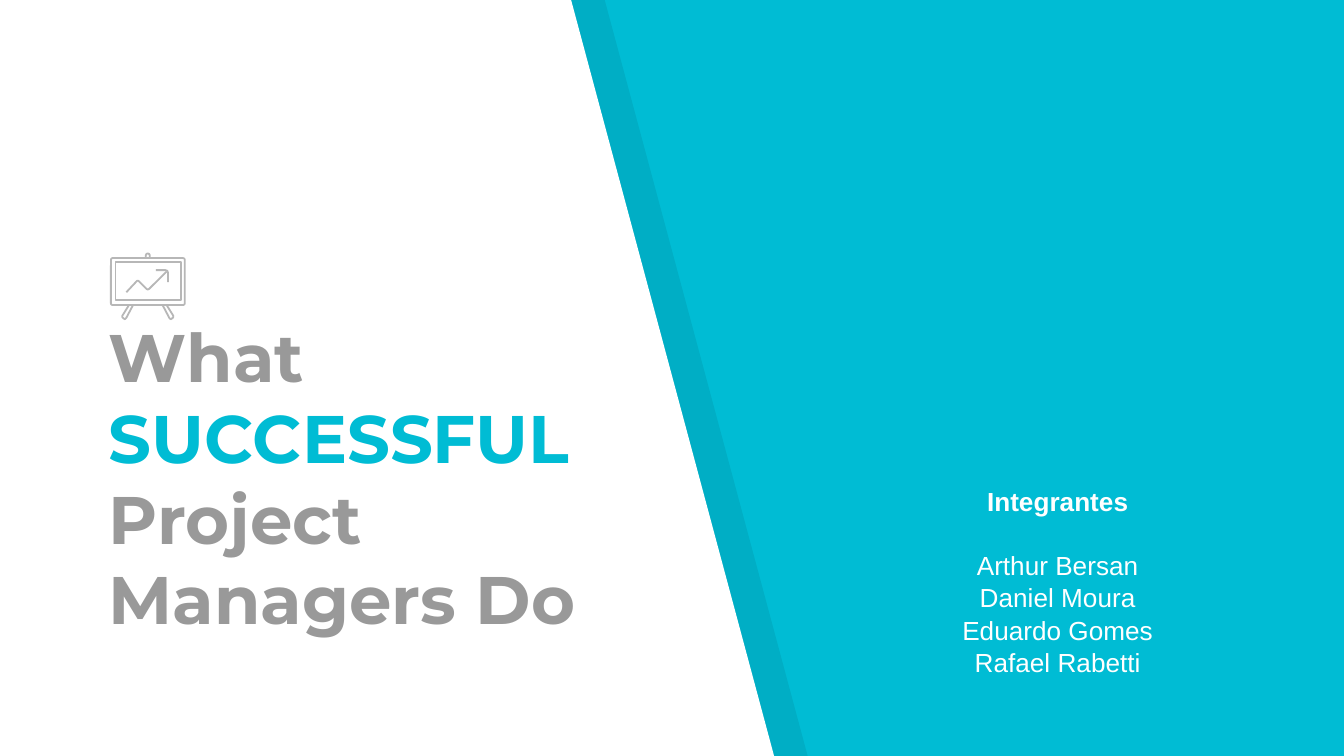
from lxml import etree
from pptx import Presentation
from pptx import util as u
from pptx.dml.color import RGBColor
from pptx.enum import shapes, text
from pptx.oxml.ns import qn

CYAN = RGBColor(0x00, 0xBC, 0xD4)
WHITE = RGBColor(0xFF, 0xFF, 0xFF)
BLACK = RGBColor(0x00, 0x00, 0x00)
GREY = RGBColor(0x99, 0x99, 0x99)
ICON_GREY = RGBColor(0xB7, 0xB7, 0xB7)

prs = Presentation()
prs.slide_width = u.Inches(10)
prs.slide_height = prs.slide_width * 9 // 16
W, H = prs.slide_width, prs.slide_height
CELL = W // 1000  # square grid, 1000 columns across the slide
BOTTOM = H / CELL

s = prs.slides.add_slide(prs.slide_layouts[0])
s.background.fill.solid()
s.background.fill.fore_color.rgb = CYAN


def add_outline(parent, points, close):
    """Add a freeform through grid points."""
    pts = [(x * CELL, y * CELL) for x, y in points]
    builder = parent.build_freeform(*pts[0], scale=1.0)
    builder.add_line_segments(pts[1:], close=close)
    sp = builder.convert_to_shape()
    sp.shadow.inherit = False
    return sp


def add_run(p, words, **fmt):
    """Add a run and set its font from format values."""
    r = p.add_run()
    r.text = words
    r.font.color.rgb = fmt.pop("color")
    for name, value in fmt.items():
        setattr(r.font, name, value)


# Slanted panel and its shade, one strip further right
for shift, color, alpha in ((25, BLACK, 7), (0, WHITE, 100)):
    corners = [(shift, 0), (425 + shift, 0), (576 + shift, BOTTOM), (shift, BOTTOM)]
    sp = add_outline(s.shapes, corners, True)
    sp.fill.solid()
    sp.fill.fore_color.rgb = color
    sp.line.fill.background()
    if alpha < 100:
        clr = sp.element.spPr.find(qn("a:solidFill"))[0]
        etree.SubElement(clr, qn("a:alpha"), val=str(alpha * 1000))

# Placeholders: place them above the panels
title, members = s.shapes.title, s.placeholders[1]
for sp, box, anchor in (
    (title, (71, 288, 462, 197), text.MSO_ANCHOR.BOTTOM),
    (members, (703, 350, 168, 135), text.MSO_ANCHOR.TOP),
):
    sp.element.getparent().append(sp.element)
    sp.left, sp.top, sp.width, sp.height = (n * CELL for n in box)
    tf = sp.text_frame
    frame = dict(word_wrap=True, auto_size=text.MSO_AUTO_SIZE.NONE, vertical_anchor=anchor)
    for side in ("left", "right", "top", "bottom"):
        frame["margin_" + side] = 10 * CELL
    for name, value in frame.items():
        setattr(tf, name, value)

# Title
heading = dict(name="Montserrat", size=u.Pt(36), bold=True)
tf = title.text_frame
p = tf.paragraphs[0]
add_run(p, "What", color=GREY, **heading)
p = tf.add_paragraph()
add_run(p, "SUCCESSFUL ", color=CYAN, **heading)
add_run(p, "Project Managers Do", color=GREY, **heading)
for p in tf.paragraphs:
    p.alignment = text.PP_ALIGN.LEFT

# Team members, with a one-line gap below the heading
names = ["Integrantes", "Arthur Bersan", "Daniel Moura", "Eduardo Gomes", "Rafael Rabetti"]
tf = members.text_frame
for i, name in enumerate(names):
    p = tf.paragraphs[0] if i == 0 else tf.add_paragraph()
    p.alignment = text.PP_ALIGN.CENTER
    p.line_spacing = 1.04
    p.space_before = u.Pt(16.8 if i == 1 else 0)
    add_run(p, name, color=WHITE, name="Arial", size=u.Pt(14), bold=i == 0)

# Presentation board icon
icon = s.shapes.add_group_shape().shapes
board = icon.add_shape(
    shapes.MSO_SHAPE.ROUNDED_RECTANGLE, 82.5 * CELL, 192 * CELL, 55 * CELL, 35 * CELL
)
board.adjustments[0] = 0.04
board.shadow.inherit = False

left_leg = [(96, 227), (91, 235), (91, 236), (92, 237), (93, 237.5), (94, 236.5), (99, 227)]
MIDDLE = 110
right_leg = [(2 * MIDDLE - x, y) for x, y in left_leg]
parts = [
    ([(86, 195), (86, 223.5), (134.5, 223.5), (134.5, 195)], True),  # screen
    ([(108.5, 192), (108.5, 190), (109, 189), (110, 188.5),
      (111, 189), (111.5, 190), (111.5, 192)], False),  # hook
    (left_leg, False),
    (right_leg, False),
    ([(94, 217.5), (102, 209), (103, 209), (109, 215),
      (110, 215.5), (111, 215), (124, 202)], False),  # trend
    ([(116, 201), (123, 201), (124.5, 201.5), (125, 203), (125, 210)], False),  # arrow tip
]
for sp in [board] + [add_outline(icon, points, close) for points, close in parts]:
    sp.fill.background()
    sp.line.color.rgb = ICON_GREY
    sp.line.width = u.Pt(0.96)

prs.save("out.pptx")
